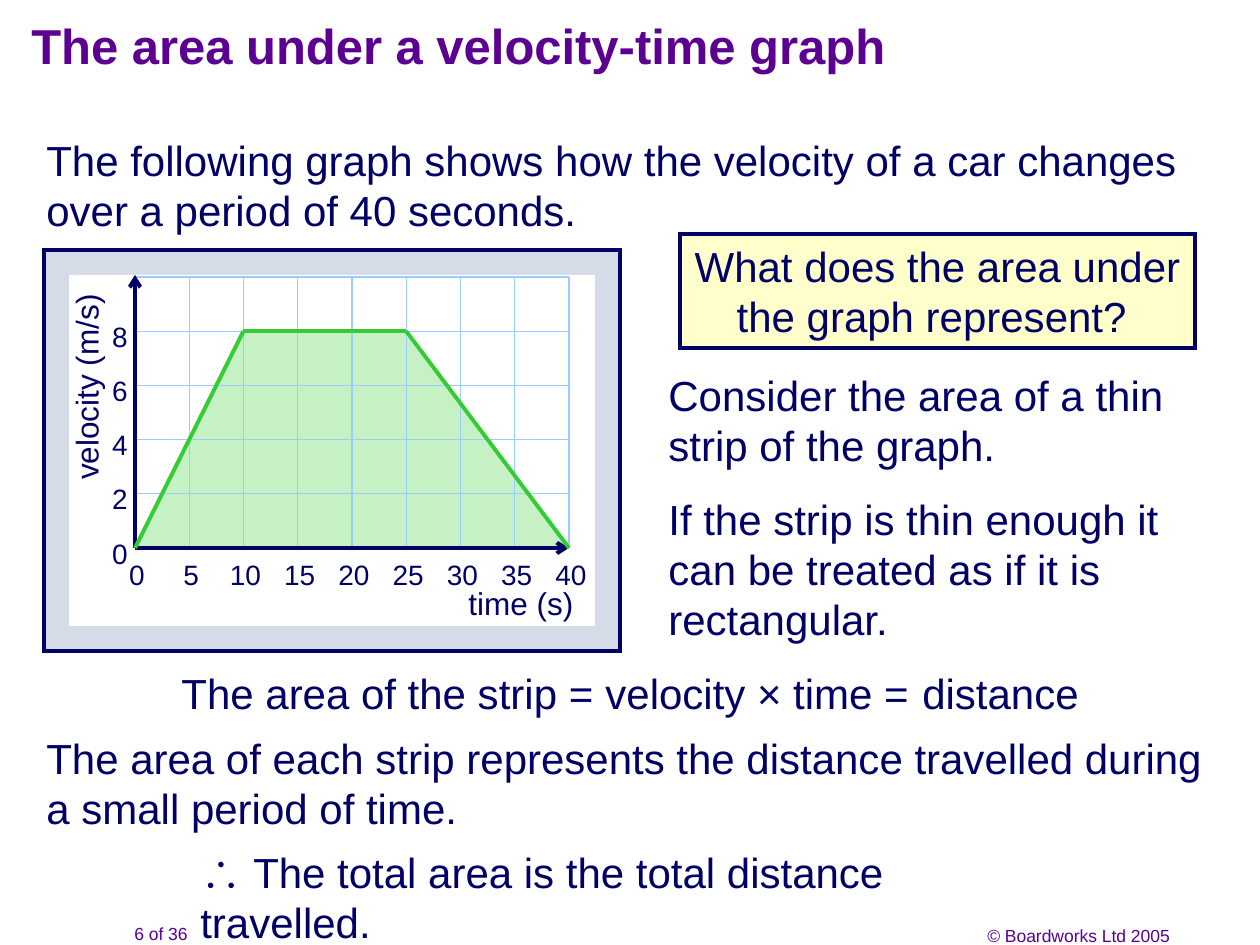
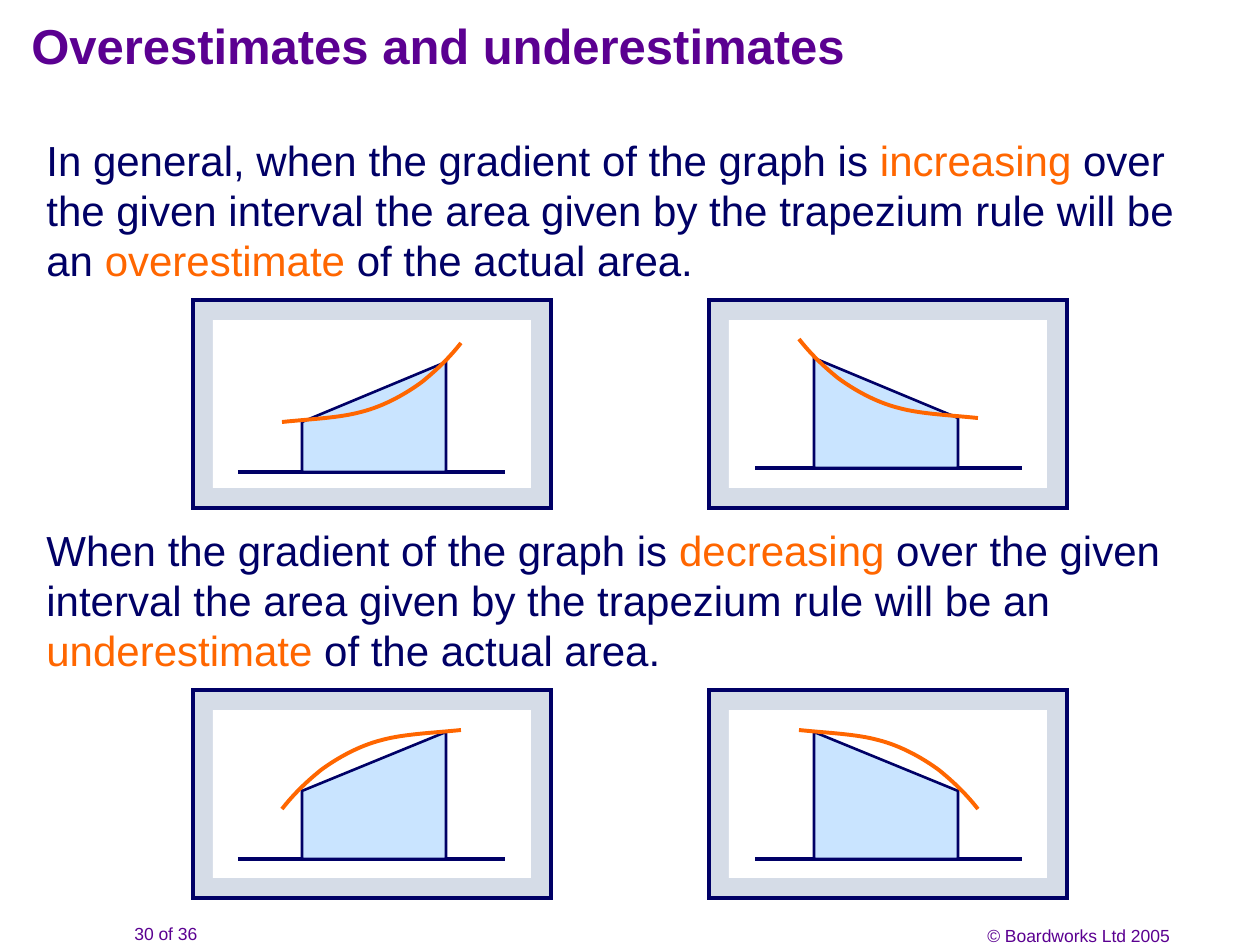
from lxml.etree import SubElement
from pptx import Presentation
from pptx.dml.color import RGBColor
from pptx.enum.shapes import MSO_CONNECTOR, MSO_SHAPE
from pptx.enum.text import MSO_ANCHOR, PP_ALIGN
from pptx.oxml.ns import qn
from pptx.util import Emu, Pt

PX_PER_INCH = 126
FONT = "Arial"

PURPLE = RGBColor(0x5B, 0x00, 0x91)
INK = RGBColor(0x01, 0x00, 0x66)
NAVY = RGBColor(0x00, 0x00, 0x66)
ORANGE = RGBColor(0xFF, 0x66, 0x00)
GREEN = RGBColor(0x33, 0xCC, 0x33)
PALE_GREEN = RGBColor(0xC5, 0xF1, 0xC5)
GRID_BLUE = RGBColor(0x99, 0xCC, 0xFF)
PALE_BLUE = RGBColor(0xC9, 0xE4, 0xFF)
FRAME_GREY = RGBColor(0xD5, 0xDC, 0xE7)
CREAM = RGBColor(0xFF, 0xFF, 0xCC)
WHITE = RGBColor(0xFF, 0xFF, 0xFF)

PANEL_WIDTH, PANEL_HEIGHT = 358, 208

# Start point, then three Bezier segments: (distance from panel left, distance below curve top)
RISING_CURVE = [(89, 79), (118, 76), (146, 75), (168, 69), (192, 63),
                (214, 50), (229, 39), (245, 26), (257, 14), (268, 0)]
CURVE_HEIGHT = 79
CURVE_TOP_ABOVE_BASE = 129


def px(length):
    return Emu(round(length * 914400 / PX_PER_INCH))


def write(frame, spans, size=24, align=PP_ALIGN.LEFT, bold=False):
    """Fill a text frame with one paragraph of (text, colour) spans."""
    frame.word_wrap = True
    para = frame.paragraphs[0]
    para.alignment = align
    for text, colour in spans:
        span = para.add_run()
        span.text = text
        span.font.name = FONT
        span.font.size = Pt(size)
        span.font.bold = bold
        span.font.color.rgb = colour


def add_text(page, box, text, colour=INK, **style):
    """Add a text box; text is a string or a list of (text, colour) spans."""
    text_box = page.shapes.add_textbox(*map(px, box))
    spans = [(text, colour)] if isinstance(text, str) else text
    write(text_box.text_frame, spans, **style)
    return text_box


def add_label(page, centre_x, centre_y, width, text, size):
    box = (centre_x - width / 2, centre_y - 24, width, 48)
    return add_text(page, box, text, size=size, align=PP_ALIGN.CENTER)


def style_shape(shape, fill=None, line=None, weight=2.25):
    shape.shadow.inherit = False
    if fill is None:
        shape.fill.background()
    else:
        shape.fill.solid()
        shape.fill.fore_color.rgb = fill
    if line is None:
        shape.line.fill.background()
    else:
        shape.line.color.rgb = line
        shape.line.width = Pt(weight)
        SubElement(shape.line._get_or_add_ln(), qn("a:miter"), lim="800000")


def add_rectangle(page, box, fill, line=None):
    rectangle = page.shapes.add_shape(MSO_SHAPE.RECTANGLE, *map(px, box))
    style_shape(rectangle, fill, line)
    return rectangle


def add_frame(page, box, margin):
    """Grey framed panel with a white sheet inside it."""
    left, top, width, height = box
    add_rectangle(page, box, FRAME_GREY, NAVY)
    add_rectangle(page, (left + margin, top + margin,
                         width - 2 * margin, height - 2 * margin), WHITE)


def add_line(page, start, end, colour, weight=2.25, arrow=False):
    line = page.shapes.add_connector(MSO_CONNECTOR.STRAIGHT, *map(px, (*start, *end)))
    line.line.color.rgb = colour
    line.line.width = Pt(weight)
    if arrow:
        SubElement(line.line._get_or_add_ln(), qn("a:tailEnd"), type="arrow")
    SubElement(line.element.spPr, qn("a:effectLst"))


def add_outline(page, points, closed=True):
    start, *rest = [(px(x), px(y)) for x, y in points]
    builder = page.shapes.build_freeform(*start)
    builder.add_line_segments(rest, close=closed)
    return builder.convert_to_shape()


def add_curve(page, points, colour):
    """Draw a start point followed by triples of Bezier points."""
    curve = add_outline(page, points, closed=False)
    outline = curve.element.find(".//" + qn("a:path"))
    segments = outline.findall(qn("a:lnTo"))
    for first in range(0, len(segments), 3):
        bezier = SubElement(outline, qn("a:cubicBezTo"))
        for segment in segments[first:first + 3]:
            bezier.append(segment[0])
            outline.remove(segment)
    style_shape(curve, line=colour)


def add_page(deck, title, number):
    page = deck.slides.add_slide(deck.slide_layouts[6])
    heading = add_text(page, (19, 6, 1134, 77), title, PURPLE, size=28, bold=True)
    heading.text_frame.vertical_anchor = MSO_ANCHOR.MIDDLE
    add_text(page, (122, 917, 154, 34), f"{number} of 36", PURPLE, size=10)
    add_text(page, (888, 919, 294, 34), "© Boardworks Ltd 2005", PURPLE,
             size=10, align=PP_ALIGN.RIGHT)
    return page


def add_velocity_graph(page, box):
    left, top, _, _ = box
    plot_left, plot_bottom = left + 91, top + 298
    plot_width, plot_height = 434, 271
    plot_right, plot_top = plot_left + plot_width, plot_bottom - plot_height

    def locate(time, velocity):
        return (plot_left + plot_width * time / 40,
                plot_bottom - plot_height * velocity / 10)

    journey = [locate(*reading) for reading in ((0, 0), (10, 8), (25, 8), (40, 0))]
    add_frame(page, box, 25)
    style_shape(add_outline(page, journey), PALE_GREEN)

    for time in range(0, 41, 5):
        x, _ = locate(time, 0)
        add_line(page, (x, plot_top), (x, plot_bottom), GRID_BLUE, 0.75)
        add_label(page, x + 2, plot_bottom + 27, 64, str(time), 16)
    for velocity in range(0, 11, 2):
        _, y = locate(0, velocity)
        add_line(page, (plot_left, y), (plot_right, y), GRID_BLUE, 0.75)
        if velocity < 10:
            add_label(page, plot_left - 15, y + 6, 64, str(velocity), 16)

    origin = (plot_left, plot_bottom)
    add_line(page, origin, (plot_right, plot_bottom), NAVY, arrow=True)
    add_line(page, origin, (plot_left, plot_top - 2), NAVY, arrow=True)
    add_label(page, left + 477, top + 352, 150, "time (s)", 18)
    add_label(page, left + 41, top + 137, 220, "velocity (m/s)", 18).rotation = 270
    for start, end in zip(journey, journey[1:]):
        add_line(page, start, end, GREEN)


def add_question(page, box, text):
    question = add_rectangle(page, box, CREAM, NAVY)
    question.text_frame.vertical_anchor = MSO_ANCHOR.TOP
    write(question.text_frame, [(text, INK)], align=PP_ALIGN.CENTER)


def add_area_page(deck):
    page = add_page(deck, "The area under a velocity-time graph", 6)
    add_text(page, (34, 128, 1200, 113), "The following graph shows how the velocity "
             "of a car changes over a period of 40 seconds.")
    add_velocity_graph(page, (44, 250, 576, 401))
    add_question(page, (680, 234, 515, 114),
                 "What does the area under the graph represent? ")
    add_text(page, (656, 363, 548, 113), "Consider the area of a thin strip of the graph.")
    add_text(page, (656, 487, 548, 164), "If the strip is thin enough it can be "
             "treated as if it is rectangular.")
    for left, width, part in ((169, 450, "The area of the strip ="),
                              (593, 345, "velocity × time ="),
                              (910, 200, "distance")):
        add_text(page, (left, 661, width, 63), part)
    add_text(page, (34, 726, 1211, 113), "The area of each strip represents the distance "
             "travelled during a small period of time.")
    add_text(page, (188, 840, 880, 113),
             "∴ The total area is the total distance travelled.")


def add_trapezium_panel(page, left, top, base, falling, concave):
    """Compare a curve with its trapezium; a falling graph mirrors a rising one."""
    def place(x, y):
        return left + (PANEL_WIDTH - x if falling else x), top + y

    low, high = (68, 127) if concave else (50, 110)
    add_frame(page, (left, top, PANEL_WIDTH, PANEL_HEIGHT), 20)
    add_line(page, place(45, base), place(312, base), NAVY)
    trapezium = add_outline(page, [place(109, base), place(109, base - low),
                                   place(253, base - high), place(253, base)])
    style_shape(trapezium, PALE_BLUE, NAVY, 1.5)

    first_x, last_x = RISING_CURVE[0][0], RISING_CURVE[-1][0]
    curve_top = base - CURVE_TOP_ABOVE_BASE
    points = RISING_CURVE
    if concave:
        points = [(first_x + last_x - x, CURVE_HEIGHT - y) for x, y in points]
    add_curve(page, [place(x, curve_top + y) for x, y in points], ORANGE)


def add_estimate_section(page, top, opening, change, estimate, bases, concave):
    """A rule in words above its rising and falling examples."""
    add_text(page, (34, top, 1164, 164), [
        (opening, INK),
        ("the gradient of the graph is ", NAVY),
        (change, ORANGE),
        (" over the given interval the area given by the trapezium rule will be an ", NAVY),
        (estimate, ORANGE),
        (" of the actual area.", NAVY),
    ])
    for left, base, falling in zip((193, 709), bases, (False, True)):
        add_trapezium_panel(page, left, top + 172, base, falling, concave)


def add_estimates_page(deck):
    page = add_page(deck, "Overestimates and underestimates", 30)
    add_estimate_section(page, 128, "In general, when ", "increasing", "overestimate",
                         (172, 168), concave=False)
    add_estimate_section(page, 518, "When ", "decreasing", "underestimate",
                         (169, 169), concave=True)


def main():
    deck = Presentation()
    deck.slide_width, deck.slide_height = px(1260), px(945)
    add_area_page(deck)
    add_estimates_page(deck)
    deck.save("out.pptx")


if __name__ == "__main__":
    main()
